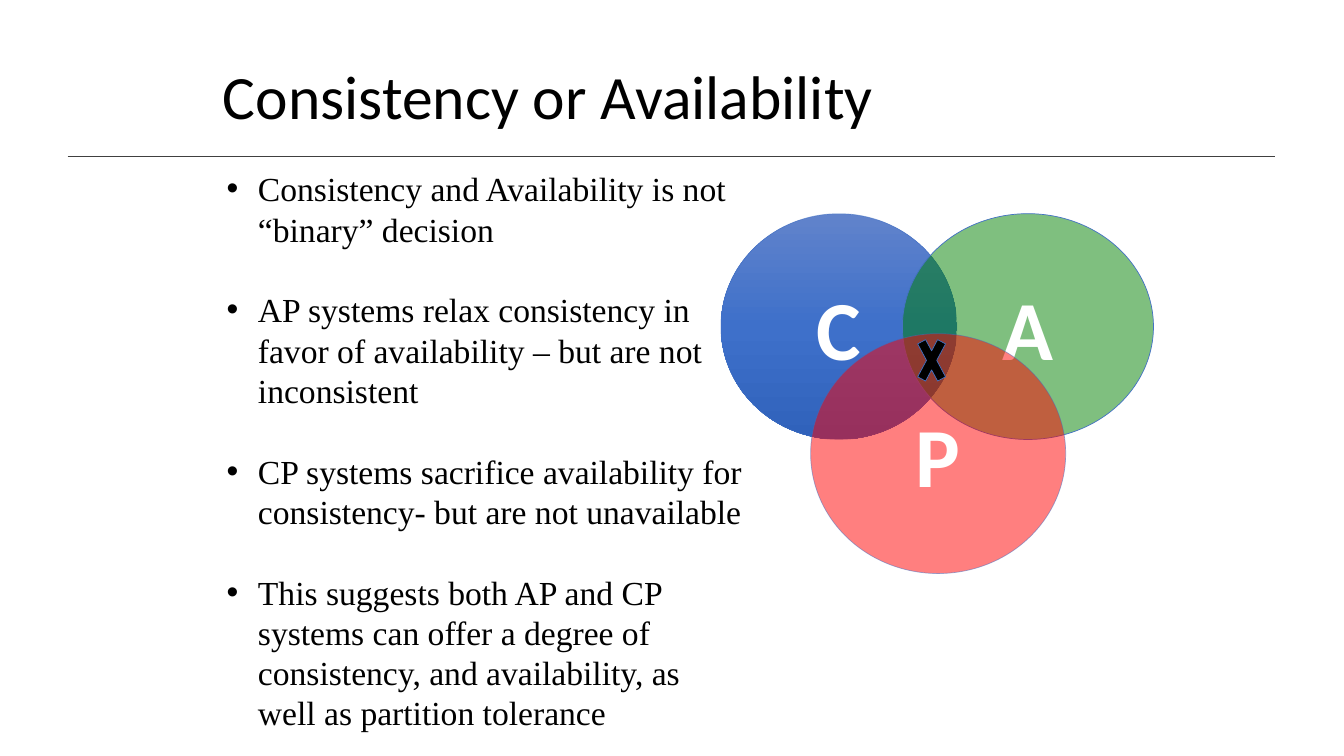
from copy import deepcopy
from lxml.etree import SubElement
from pptx import Presentation
from pptx.dml.color import RGBColor
from pptx.enum.shapes import MSO_CONNECTOR, MSO_SHAPE
from pptx.enum.text import MSO_ANCHOR, MSO_AUTO_SIZE, PP_ALIGN
from pptx.oxml.ns import qn
from pptx.util import Pt

PX = 9144
COLORS = {
    "text": "000000",
    "label": "FFFFFF",
    "rule": "404040",
    "outline": "4472C4",
    "soft_outline": "3F6FC3",
    "availability": "008000",
    "partition": "FF0000",
}
CONSISTENCY = [(0, "6183CB"), (0.5, "3E70CA"), (1, "3062BB")]
POINTS = [
    "Consistency and Availability is not “binary” decision",
    "AP systems relax consistency in favor of availability – but are not inconsistent",
    "CP systems sacrifice availability for consistency- but are not unavailable",
    "This suggests both AP and CP systems can offer a degree of consistency, "
    "and availability, as well as partition tolerance",
]


def rgb(color):
    return RGBColor.from_string(COLORS.get(color, color))


def write(p, text, size, font="Calibri", color="text", bold=False,
          align=PP_ALIGN.LEFT, spacing=None, before=0):
    p.alignment = align
    p.line_spacing = spacing
    p.space_before = Pt(before)
    r = p.add_run()
    r.text = text
    r.font.size = Pt(size)
    r.font.name = font
    r.font.bold = bold
    r.font.color.rgb = rgb(color)


def set_alpha(element, percent):
    clr = element.find(".//" + qn("a:srgbClr"))
    SubElement(clr, qn("a:alpha"), val=str(percent * 1000))


class Deck:
    def __init__(self, width, height):
        self.prs = Presentation()
        self.prs.slide_width = width * PX
        self.prs.slide_height = height * PX
        self.s = self.prs.slides.add_slide(self.prs.slide_layouts[5])

    def title(self, text, *box):
        sp = self.s.shapes.title
        sp.left, sp.top, sp.width, sp.height = (v * PX for v in box)
        tf = sp.text_frame
        tf.vertical_anchor = MSO_ANCHOR.MIDDLE
        write(tf.paragraphs[0], text, 44, spacing=0.9)

    def rule(self, *ends):
        line = self.s.shapes.add_connector(MSO_CONNECTOR.STRAIGHT, *(v * PX for v in ends))
        line.line.color.rgb = rgb("rule")
        line.line.width = Pt(1)
        SubElement(line._element.spPr, qn("a:effectLst"))

    def bullets(self, points, *box):
        sp = self.s.shapes.add_textbox(*(v * PX for v in box))
        tf = sp.text_frame
        tf.word_wrap = True
        tf.auto_size = MSO_AUTO_SIZE.SHAPE_TO_FIT_TEXT
        for i, text in enumerate(points):
            p = tf.add_paragraph() if i else tf.paragraphs[0]
            pPr = p._p.get_or_add_pPr()
            pPr.set("marL", str(31 * PX))
            pPr.set("indent", str(-31 * PX))
            SubElement(pPr, qn("a:buFont"), typeface="Arial")
            SubElement(pPr, qn("a:buChar"), char="•")
            write(p, text, 24, "Times New Roman", spacing=Pt(28.8),
                  before=28.8 if i else 0)

    def shape(self, parent, kind, *box, fill, outline="outline",
              label=None, alpha=None, outline_alpha=None):
        sp = parent.shapes.add_shape(kind, *(v * PX for v in box))
        sp.shadow.inherit = False
        if isinstance(fill, list):
            self.gradient(sp, fill)
        else:
            sp.fill.solid()
            sp.fill.fore_color.rgb = rgb(fill)
        if alpha:
            set_alpha(sp._element.spPr.find(qn("a:solidFill")), alpha)
        sp.line.color.rgb = rgb(outline)
        sp.line.width = Pt(0.5)
        if outline_alpha:
            set_alpha(sp._element.spPr.find(qn("a:ln")), outline_alpha)
        if label:
            tf = sp.text_frame
            tf.vertical_anchor = MSO_ANCHOR.MIDDLE
            write(tf.paragraphs[0], label, 60, color="label", bold=True,
                  align=PP_ALIGN.CENTER)

    def gradient(self, sp, stops):
        sp.fill.gradient()
        sp.fill.gradient_angle = 270
        gs_list = sp._element.spPr.find(".//" + qn("a:gsLst"))
        gs_list.append(deepcopy(gs_list[0]))
        for stop, (position, color) in zip(sp.fill.gradient_stops, stops):
            stop.position = position
            stop.color.rgb = rgb(color)

    def venn(self):
        group = self.s.shapes.add_group_shape()
        self.shape(group, MSO_SHAPE.OVAL, 715, 212, 234, 224, label="C",
                   fill=CONSISTENCY, outline="soft_outline", outline_alpha=50)
        self.shape(group, MSO_SHAPE.OVAL, 895, 212, 249, 224, label="A",
                   fill="availability", alpha=50)
        self.shape(group, MSO_SHAPE.OVAL, 804, 331, 253, 238, label="P",
                   fill="partition", alpha=50, outline="soft_outline", outline_alpha=50)
        self.shape(group, MSO_SHAPE.MATH_MULTIPLY, 905, 322, 38, 71, fill="text")


def main():
    deck = Deck(1333, 750)
    deck.rule(67, 155, 1265, 155)
    deck.title("Consistency or Availability", 211, 47, 933, 104)
    deck.venn()
    deck.bullets(POINTS, 215, 162, 535, 576)
    deck.prs.save("out.pptx")


if __name__ == "__main__":
    main()
